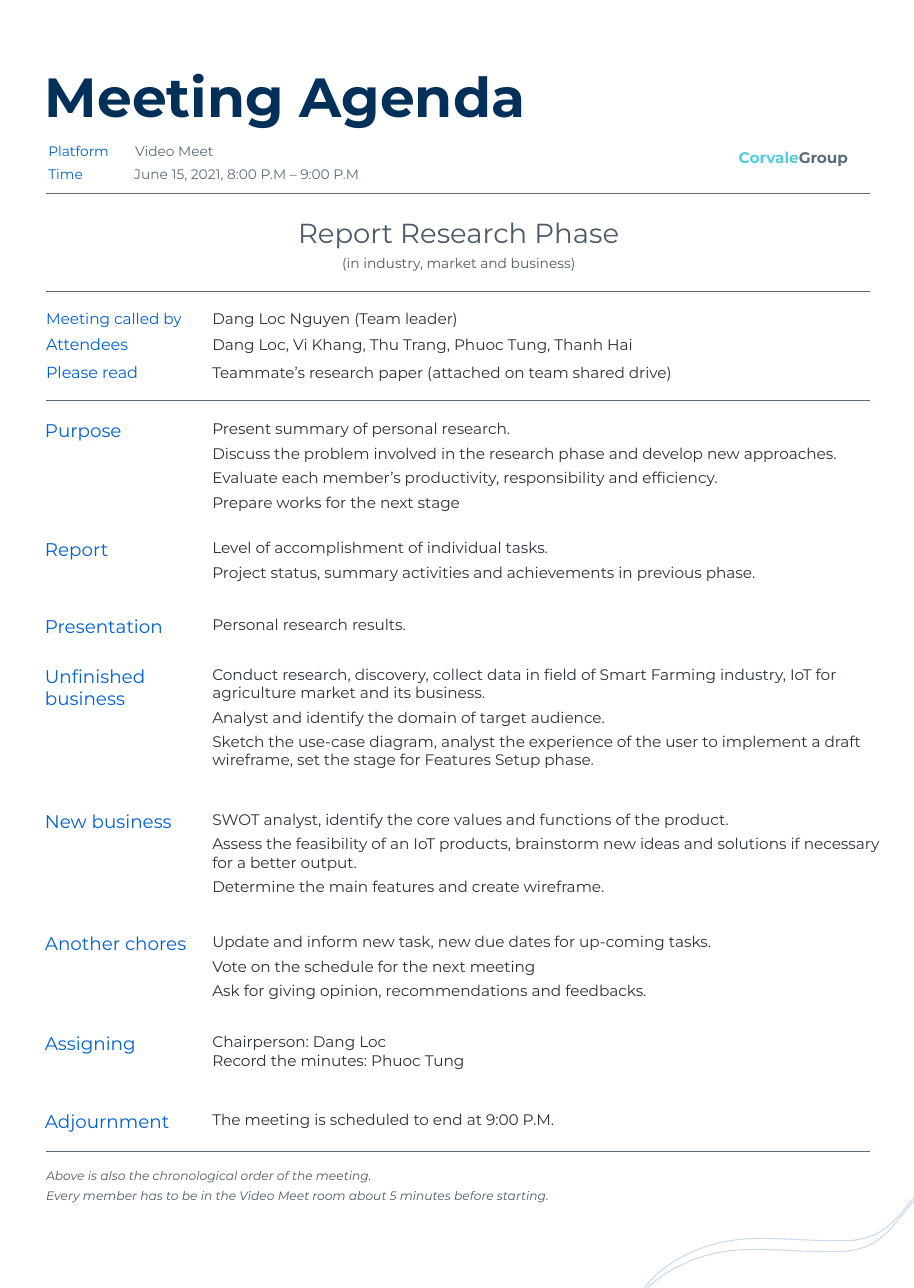
"""Build a one-page meeting agenda."""
import pptx
import pptx.dml.color
import pptx.enum.shapes
import pptx.enum.text
import pptx.oxml.ns
import pptx.util
from dataclasses import dataclass
from lxml import etree

Inches = pptx.util.Inches
Pt = pptx.util.Pt
qn = pptx.oxml.ns.qn


@dataclass(frozen=True)
class Theme:
    font: str = "Montserrat"
    navy: str = "033059"
    blue: str = "0061D4"
    ink: str = "2B3239"
    slate: str = "4D5A67"
    grey: str = "5C6B7A"
    aqua: str = "53CDDD"
    wave: str = "4472C4"
    title: float = 36
    topic: float = 18
    head: float = 12
    label: float = 10.5
    body: float = 10
    meta: float = 9
    note: float = 8
    gap: float = 4


T = Theme()

META = [("Platform", "Video Meet", 1.13, 1.64, 1.25),
        ("Time", "June 15, 2021, 8:00 P.M – 9:00 P.M", 1.12, 3.03, 1.46)]

FACTS = [
    ("Meeting called by", "Dang Loc Nguyen (Team leader)", T.body, 2.76, 2.76),
    ("Attendees", "Dang Loc, Vi Khang, Thu Trang, Phuoc Tung, Thanh Hai", T.label, 2.99, 3),
    ("Please read", "Teammate’s research paper (attached on team shared drive)", T.label, 3.24, 3.25),
]

TOPICS = [
    ("Purpose", 3.76, 1.11, [
        "Present summary of personal research.",
        "Discuss the problem involved in the research phase and develop new approaches.",
        "Evaluate each member’s productivity, responsibility and efficiency.",
        "Prepare works for the next stage"]),
    ("Report", 4.84, 0.49, [
        "Level of accomplishment of individual tasks.",
        "Project status, summary activities and achievements in previous phase."]),
    ("Presentation", 5.54, 0.27, ["Personal research results."]),
    ("Unfinished business", 5.99, 1.05, [
        "Conduct research, discovery, collect data in field of Smart Farming industry, "
        "IoT for agriculture market and its business.",
        "Analyst and identify the domain of target audience.",
        "Sketch the use-case diagram, analyst the experience of the user to implement "
        "a draft wireframe, set the stage for Features Setup phase."]),
    ("New business", 7.31, 0.89, [
        "SWOT analyst, identify the core values and functions of the product.",
        "Assess the feasibility of an IoT products, brainstorm new ideas and solutions "
        "if necessary for a better output.",
        "Determine the main features and create wireframe."]),
    ("Another chores", 8.42, 0.72, [
        "Update and inform new task, new due dates for up-coming tasks.",
        "Vote on the schedule for the next meeting",
        "Ask for giving opinion, recommendations and feedbacks."]),
    ("Assigning", 9.33, 0.44, ["Chairperson: Dang Loc\nRecord the minutes: Phuoc Tung"]),
    ("Adjournment", 10.04, 0.27, ["The meeting is scheduled to end at 9:00 P.M."]),
]

NOTES = ["Above is also the chronological order of the meeting.",
         "Every member has to be in the Video Meet room about 5 minutes before starting."]

WAVE = [
    (8.82, 10.58),
    (8.74, 10.58), (8.66, 10.6), (8.56, 10.65),
    (8.21, 10.84), (8.19, 11.24), (7.71, 11.27),
    (7.66, 11.27), (7.62, 11.27), (7.57, 11.27),
    (7.34, 11.27), (7.13, 11.25), (6.92, 11.25),
    (6.68, 11.25), (6.44, 11.28), (6.17, 11.43),
    (5.72, 11.69), (5.63, 12.05), (5.72, 12.49),
    (5.87, 13.23), (6.5, 13.57), (7.23, 13.57),
    (7.54, 13.57), (7.87, 13.51), (8.18, 13.38),
    (9.17, 12.99), (9.63, 12.1), (9.4, 11.21),
    (9.33, 10.93), (9.14, 10.58), (8.82, 10.58),
]


def rgb(code):
    """Turn a hex code into a colour."""
    return pptx.dml.color.RGBColor.from_string(code)


def add_run(para, text, size, color, bold=False, slant=False):
    """Add styled text, with line breaks where it has new lines."""
    for i, line in enumerate(text.split("\n")):
        if i:
            para.add_line_break()
        run = para.add_run()
        run.text = line
        font = run.font
        font.name, font.size = T.font, Pt(size)
        font.bold, font.italic = bold, slant
        font.color.rgb = rgb(color)


def add_box(slide, left, top, width, height):
    """Add a wrapping text box that fits its text and give its frame."""
    box = slide.shapes.add_textbox(*map(Inches, (left, top, width, height)))
    frame = box.text_frame
    frame.word_wrap = True
    frame.auto_size = pptx.enum.text.MSO_AUTO_SIZE.SHAPE_TO_FIT_TEXT
    return frame


def add_text(slide, spot, lines, size, color, bold=False, slant=False):
    """Add a text box with one paragraph for each line."""
    frame = add_box(slide, *spot)
    for i, line in enumerate(lines):
        para = frame.add_paragraph() if i else frame.paragraphs[0]
        if len(lines) > 1:
            para.space_after = Pt(T.gap)
        add_run(para, line, size, color, bold, slant)


def add_rule(slide, top):
    """Add a thin rule across the page."""
    rule = slide.shapes.add_connector(
        pptx.enum.shapes.MSO_CONNECTOR.STRAIGHT,
        Inches(0.42), Inches(top), Inches(7.9), Inches(top))
    rule.line.color.rgb = rgb(T.grey)
    rule.line.width = Pt(0.5)
    etree.SubElement(rule._element.spPr, qn("a:effectLst"))


def add_wave(slide, dx, dy):
    """Add a pale closed curve that runs off the page corner."""
    dots = [(Inches(x + dx), Inches(y + dy)) for x, y in WAVE]
    form = slide.shapes.build_freeform(*dots[0])
    form.add_line_segments(dots[1:], close=True)
    wave = form.convert_to_shape()
    props = wave._element.spPr
    legs = list(props.iter(qn("a:lnTo")))
    for i in range(0, len(WAVE) - 1, 3):
        curve = etree.Element(qn("a:cubicBezTo"))
        legs[i].addprevious(curve)
        for leg in legs[i:i + 3]:
            curve.append(leg[0])
            leg.getparent().remove(leg)
    wave.shadow.inherit = False
    wave.fill.background()
    wave.line.width = Pt(0.75)
    wave.line.color.rgb = rgb(T.wave)
    tint = next(props.iter(qn("a:srgbClr")))
    etree.SubElement(tint, qn("a:alpha"), val="26000")


def add_header(slide):
    """Add the title, meeting details, team name and topic."""
    add_text(slide, (0.31, 0.52, 4.81, 0.71), ["Meeting Agenda"], T.title, T.navy, bold=True)
    for label, value, left, width, top in META:
        add_text(slide, (0.34, top, 1.18, 0.25), [label], T.meta, T.blue)
        add_text(slide, (left, top, width, 0.25), [value], T.meta, T.grey)
    para = add_box(slide, 6.61, 1.3, 1.22, 0.27).paragraphs[0]
    add_run(para, "Corvale", T.body, T.aqua, bold=True)
    add_run(para, "Group", T.body, T.grey, bold=True)
    frame = add_box(slide, 2.39, 1.91, 3.55, 0.61)
    first, second = frame.paragraphs[0], frame.add_paragraph()
    first.alignment = second.alignment = pptx.enum.text.PP_ALIGN.CENTER
    first.space_after = Pt(T.gap)
    add_run(first, "Report Research Phase", T.topic, T.slate)
    add_run(second, "(in industry, market and business)", T.meta, T.slate)


def main():
    """Build and save the agenda."""
    deck = pptx.Presentation()
    deck.slide_width, deck.slide_height = Inches(8.3), Inches(11.7)
    slide = deck.slides.add_slide(deck.slide_layouts[6])
    for dx, dy in ((0, 0), (-0.06, 0.1)):
        add_wave(slide, dx, dy)
    add_header(slide)
    for top in (1.76, 2.65, 3.64, 10.46):
        add_rule(slide, top)
    for label, value, size, high, top in FACTS:
        add_text(slide, (0.32, high, 1.76, 0.28), [label], size, T.blue)
        add_text(slide, (1.83, top, 5.34, 0.27), [value], T.body, T.ink)
    for label, top, height, lines in TOPICS:
        add_text(slide, (0.31, top, 1.76, 0.3), [label], T.head, T.blue)
        add_text(slide, (1.83, top, 6.29, height), lines, T.body, T.ink)
    add_text(slide, (0.32, 10.56, 6.29, 0.62), NOTES, T.note, T.slate, slant=True)
    deck.save("out.pptx")


if __name__ == "__main__":
    main()
